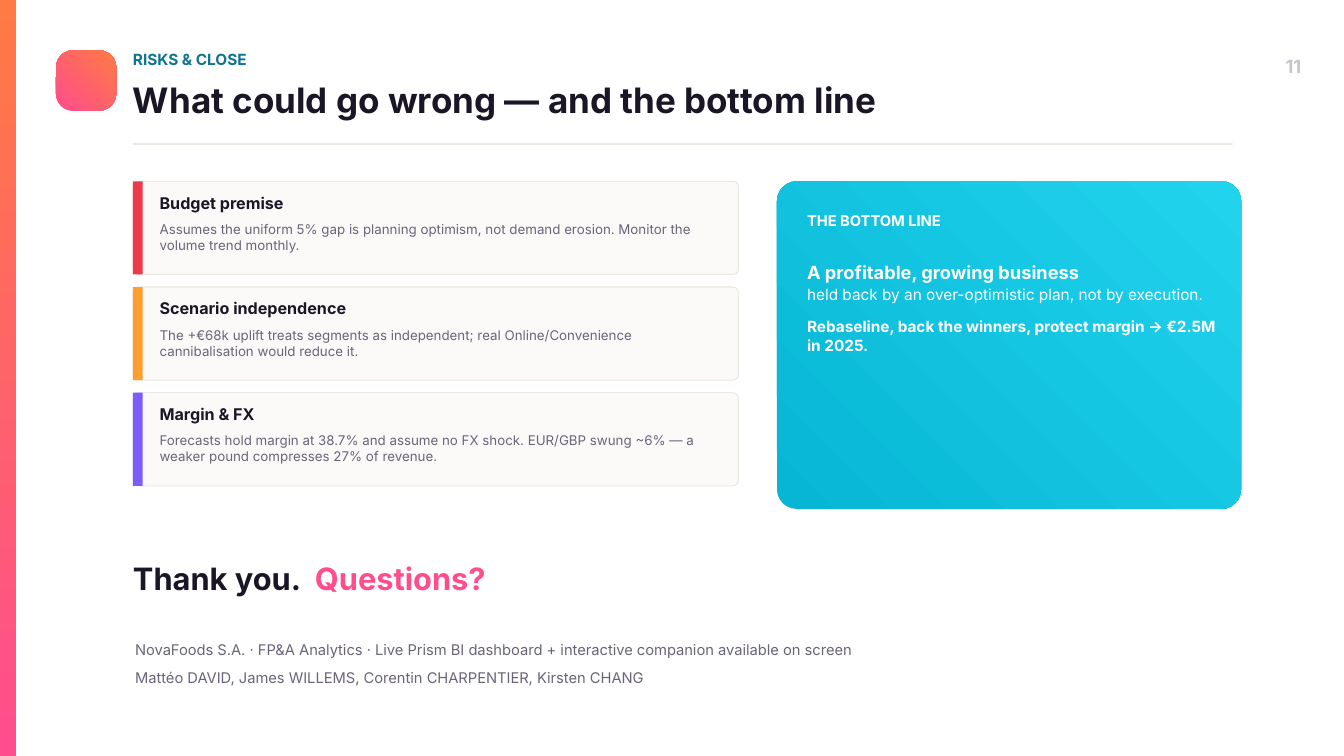
from dataclasses import dataclass

from lxml.etree import SubElement
from pptx import Presentation
from pptx.dml.color import RGBColor
from pptx.enum.shapes import MSO_SHAPE
from pptx.enum.text import MSO_ANCHOR, MSO_AUTO_SIZE, PP_ALIGN
from pptx.oxml.ns import qn
from pptx.util import Emu, Pt

PX = 9525  # EMU per px, 96 px to the inch


@dataclass(frozen=True)
class Theme:
    font: str = "Inter"
    ink: str = "1A1625"
    muted: str = "6B6478"
    number: str = "C9C4CF"
    teal: str = "0E7490"
    pink: str = "FF4D8D"
    orange: str = "FF7A45"
    white: str = "FFFFFF"
    rule: str = "ECE9E4"
    card: str = "FBFAF9"
    red: str = "F0384B"
    amber: str = "FF9E2C"
    violet: str = "7C5CFF"
    cyan: tuple = ("06B6D4", "22D3EE")
    title: float = 37.5
    closing: float = 33
    lead: float = 19.5
    label: float = 16.5
    heading: float = 17.25
    small: float = 15.75
    detail: float = 14.25
    leading: float = 1.2


class SlideBuilder:
    def __init__(self, slide, theme):
        self.slide = slide
        self.theme = theme

    def place(self, item, left, top, width, height):
        bounds = {"left": left, "top": top, "width": width, "height": height}
        for name, value in bounds.items():
            setattr(item, name, Emu(value * PX))

    def shape(self, bounds, fill, radius=0, line=None, angle=0):
        """Draw a rectangle; a pair of colours as fill makes a gradient."""
        kind = MSO_SHAPE.ROUNDED_RECTANGLE if radius else MSO_SHAPE.RECTANGLE
        box = self.slide.shapes.add_shape(kind, *(Emu(n * PX) for n in bounds))
        box.shadow.inherit = False
        if radius:
            box.adjustments[0] = radius / min(bounds[2:])
        if isinstance(fill, tuple):
            box.fill.gradient()
            box.fill.gradient_angle = angle
            for stop, color in zip(box.fill.gradient_stops, fill):
                stop.color.rgb = RGBColor.from_string(color)
        else:
            box.fill.solid()
            box.fill.fore_color.rgb = RGBColor.from_string(fill)
        if line:
            box.line.color.rgb = RGBColor.from_string(line)
            box.line.width = Pt(1.13)
        else:
            box.line.fill.background()

    def frame(self, box):
        frame = box.text_frame
        settings = {
            "margin_left": 0, "margin_top": 0, "margin_right": 0, "margin_bottom": 0,
            "word_wrap": True, "auto_size": MSO_AUTO_SIZE.NONE,
            "vertical_anchor": MSO_ANCHOR.TOP,
        }
        for name, value in settings.items():
            setattr(frame, name, value)
        return frame

    def span(self, para, text, size, color, bold=False):
        run = para.add_run()
        run.text = text
        style = {"name": self.theme.font, "size": Pt(size), "bold": bold}
        for name, value in style.items():
            setattr(run.font, name, value)
        run.font.color.rgb = RGBColor.from_string(color)

    def paragraph(self, para, text, size, color, bold=False,
                  align=PP_ALIGN.LEFT, leading=None, before=0):
        layout = {
            "alignment": align, "space_before": Pt(before), "space_after": Pt(0),
            "line_spacing": Pt(leading or size * self.theme.leading),
        }
        for name, value in layout.items():
            setattr(para, name, value)
        self.span(para, text, size, color, bold)

    def text(self, bounds, text, size, color, **style):
        box = self.slide.shapes.add_textbox(*(Emu(n * PX) for n in bounds))
        frame = self.frame(box)
        self.paragraph(frame.paragraphs[0], text, size, color, **style)
        return frame

    def title(self, bounds, text):
        box = self.slide.shapes.title
        self.place(box, *bounds)
        para = self.frame(box).paragraphs[0]
        self.paragraph(para, text, self.theme.title, self.theme.ink, bold=True)

    def risk_card(self, top, accent, heading, detail):
        theme = self.theme
        self.shape((190, top, 865, 133), theme.card, radius=8, line=theme.rule)
        self.shape((190, top, 14, 133), accent)
        self.text((228, top + 17, 807, 43), heading, theme.heading, theme.ink, bold=True)
        self.text((228, top + 57, 807, 73), detail, theme.detail, theme.muted)

    def bottom_line(self):
        theme = self.theme
        self.shape((1110, 259, 663, 468), theme.cyan, radius=28, angle=45)
        self.text((1153, 302, 576, 58), "THE BOTTOM LINE", theme.small, theme.white, bold=True)
        frame = self.text((1153, 372, 584, 333), "A profitable, growing business",
                          theme.lead, theme.white, bold=True, leading=24.75)
        self.paragraph(frame.add_paragraph(),
                       "held back by an over-optimistic plan, not by execution.",
                       theme.label, theme.white, leading=21)
        self.paragraph(frame.add_paragraph(),
                       "Rebaseline, back the winners, protect margin → €2.5M in 2025.",
                       theme.label, theme.white, bold=True, leading=21, before=13.4)

    def closing(self):
        theme = self.theme
        frame = self.text((190, 799, 1585, 100), "Thank you.\t", theme.closing,
                          theme.ink, bold=True)
        para = frame.paragraphs[0]
        self.span(para, "Questions?", theme.closing, theme.pink, bold=True)
        tabs = SubElement(para._p.get_or_add_pPr(), qn("a:tabLst"))
        SubElement(tabs, qn("a:tab"), pos=str(260 * PX), algn="l")


def main():
    theme = Theme()
    deck = Presentation()
    deck.slide_width, deck.slide_height = Emu(1920 * PX), Emu(1080 * PX)
    page = SlideBuilder(deck.slides.add_slide(deck.slide_layouts[5]), theme)

    warm = (theme.pink, theme.orange)
    page.shape((0, 0, 23, 1080), warm, angle=90)
    page.shape((80, 72, 86, 86), warm, radius=24, angle=45)
    page.text((190, 71, 1297, 44), "RISKS & CLOSE", theme.label, theme.teal, bold=True)
    page.title((190, 112, 1513, 86), "What could go wrong — and the bottom line")
    page.text((1729, 79, 130, 58), "11", theme.lead, theme.number, bold=True,
              align=PP_ALIGN.RIGHT)
    page.shape((190, 204, 1571, 3), theme.rule)

    risks = [
        (theme.red, "Budget premise",
         "Assumes the uniform 5% gap is planning optimism, not demand erosion. "
         "Monitor the volume trend monthly."),
        (theme.amber, "Scenario independence",
         "The +€68k uplift treats segments as independent; real Online/Convenience "
         "cannibalisation would reduce it."),
        (theme.violet, "Margin & FX",
         "Forecasts hold margin at 38.7% and assume no FX shock. EUR/GBP swung ~6% — "
         "a weaker pound compresses 27% of revenue."),
    ]
    for index, risk in enumerate(risks):
        page.risk_card(259 + 151 * index, *risk)

    page.bottom_line()
    page.closing()
    credits = [
        "NovaFoods S.A. · FP&A Analytics · Live Prism BI dashboard + interactive "
        "companion available on screen",
        "Mattéo DAVID, James WILLEMS, Corentin CHARPENTIER, Kirsten CHANG",
    ]
    for index, credit in enumerate(credits):
        page.text((193, 915 + 40 * index, 1585, 30), credit, theme.small, theme.muted)

    deck.save("out.pptx")


if __name__ == "__main__":
    main()
